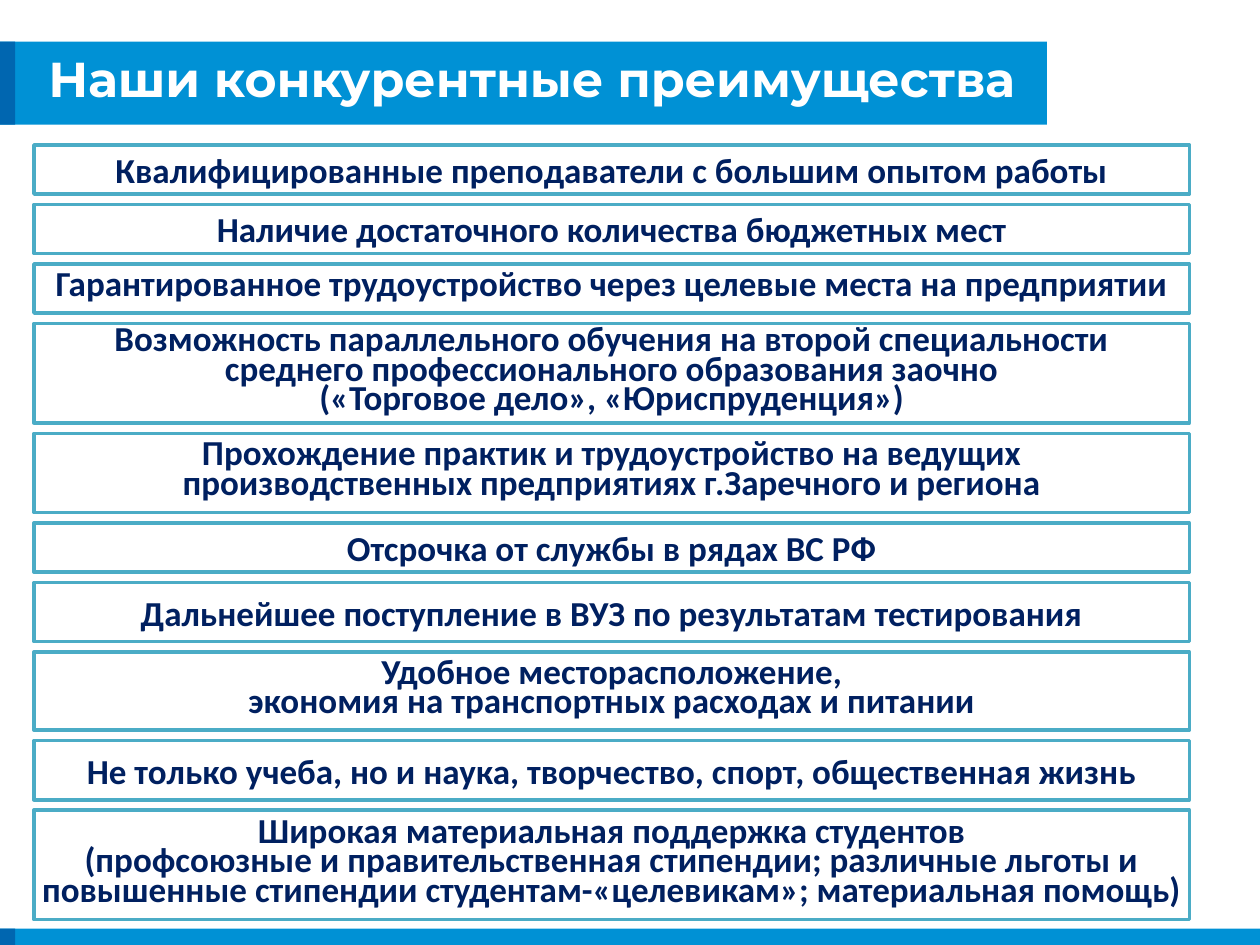
from pptx import Presentation
from pptx.dml.color import RGBColor
from pptx.enum import shapes, text
from pptx.util import Inches, Pt

COLORS = {
    "blue": "0091D5",
    "dark_blue": "0066B0",
    "white": "FFFFFF",
    "border": "4BACC6",
    "navy": "002060",
}
TITLE_FONT = {"name": "Montserrat", "size": Pt(28), "bold": True}
ROW_FONT = {"name": "Calibri", "size": Pt(20), "bold": True}
TIGHT = Pt(17)

# Height in inches, line spacing, lines of text
ADVANTAGES = [
    (0.39, None, ["Квалифицированные преподаватели с большим опытом работы"]),
    (0.39, None, ["Наличие достаточного количества бюджетных мест"]),
    (0.39, TIGHT, ["Гарантированное трудоустройство через целевые места на предприятии"]),
    (0.79, TIGHT, ["Возможность параллельного обучения на второй специальности",
                   "среднего профессионального образования заочно",
                   "(«Торговое дело», «Юриспруденция»)"]),
    (0.63, TIGHT, ["Прохождение практик и трудоустройство на ведущих",
                   "производственных предприятиях г.Заречного и региона"]),
    (0.39, None, ["Отсрочка от службы в рядах ВС РФ"]),
    (0.47, None, ["Дальнейшее поступление в ВУЗ по результатам тестирования"]),
    (0.62, TIGHT, ["Удобное месторасположение,",
                   "экономия на транспортных расходах и питании"]),
    (0.47, None, ["Не только учеба, но и наука, творчество, спорт, общественная жизнь"]),
    (0.87, TIGHT, ["Широкая материальная поддержка студентов",
                   "(профсоюзные и правительственная стипендии; различные льготы и",
                   "повышенные стипендии студентам-«целевикам»; материальная помощь)"]),
]
ROWS_TOP, ROWS_BOTTOM = 1.15, 7.3
ROW_LEFT, ROW_WIDTH = 0.27, 9.17


def color(name):
    return RGBColor.from_string(COLORS[name])


def add_rectangle(slide, left, top, width, height, fill, line=None):
    shape = slide.shapes.add_shape(
        shapes.MSO_SHAPE.RECTANGLE,
        Inches(left), Inches(top), Inches(width), Inches(height))
    shape.shadow.inherit = False
    shape.fill.solid()
    shape.fill.fore_color.rgb = color(fill)
    if line:
        shape.line.color.rgb = color(line)
        shape.line.width = Pt(2)
    else:
        shape.line.fill.background()
    return shape


def write_lines(shape, lines, font, font_color, wrap, spacing=None):
    frame = shape.text_frame
    frame.word_wrap = wrap
    frame.vertical_anchor = text.MSO_ANCHOR.MIDDLE
    frame.text = "\n".join(lines)
    for paragraph in frame.paragraphs:
        paragraph.alignment = text.PP_ALIGN.CENTER
        paragraph.line_spacing = spacing
        run_font = paragraph.runs[0].font
        for attribute, value in font.items():
            setattr(run_font, attribute, value)
        run_font.color.rgb = color(font_color)


def add_band(slide, top, width, height):
    """Blue band with a dark block at its left end."""
    add_rectangle(slide, 0, top, width, height, "blue")
    add_rectangle(slide, 0, top, 0.12, height, "dark_blue")


def add_title(slide, title):
    box = slide.shapes.add_textbox(
        Inches(-0.1), Inches(0.4), Inches(8.64), Inches(0.43))
    write_lines(box, [title], TITLE_FONT, "white", wrap=True)


def add_advantages(slide):
    """Stack the framed rows with equal gaps between top and bottom."""
    free = ROWS_BOTTOM - ROWS_TOP - sum(row[0] for row in ADVANTAGES)
    gap = free / (len(ADVANTAGES) - 1)
    top = ROWS_TOP
    for height, spacing, lines in ADVANTAGES:
        row = add_rectangle(
            slide, ROW_LEFT, top, ROW_WIDTH, height, "white", "border")
        write_lines(row, lines, ROW_FONT, "navy", wrap=False, spacing=spacing)
        top += height + gap


def main():
    presentation = Presentation()
    presentation.slide_width = Inches(10)
    presentation.slide_height = Inches(7.5)
    slide = presentation.slides.add_slide(presentation.slide_layouts[6])
    add_band(slide, 0.33, 8.31, 0.66)
    add_title(slide, "Наши конкурентные преимущества")
    add_band(slide, 7.37, 10, 0.13)
    add_advantages(slide)
    presentation.save("out.pptx")


if __name__ == "__main__":
    main()
